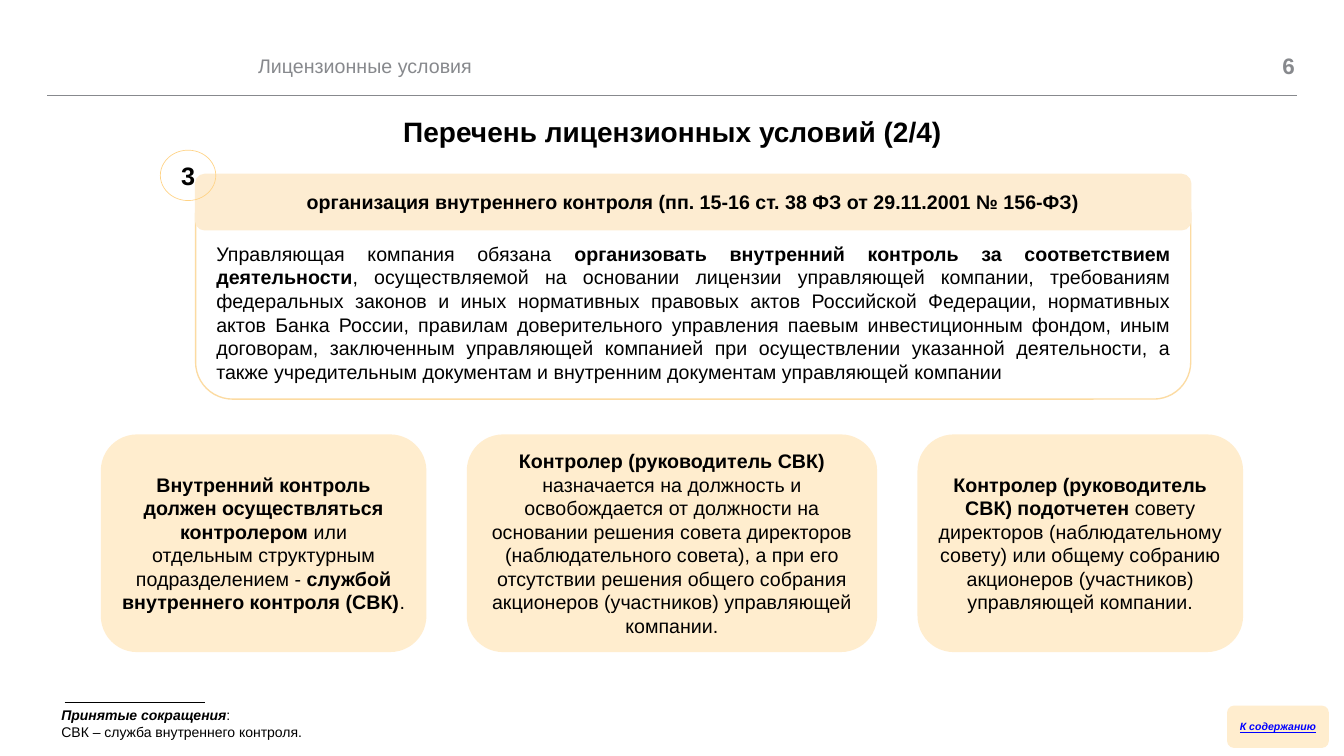
from lxml import etree
from pptx import Presentation
from pptx.dml.color import RGBColor
from pptx.enum import shapes, text
from pptx.oxml import ns
from pptx.util import Inches, Pt

COLORS = {"ink": "000000", "grey": "87898D", "link": "0000FF", "card": "FFEDCE",
          "header": "FDECD1", "frame": "FCDBA2", "ring": "FFD385"}
FONT = "Arial"
CORNER = 1 / 6

# Asterisks enclose the emphasised words; a line feed is a line break.
TITLE = "*Перечень лицензионных условий (2/4)*"
SECTION = "Лицензионные условия"
PAGE_NUMBER = "*6*"
CONDITION_NUMBER = "*3*"
CONDITION = "*организация внутреннего контроля (пп. 15-16 ст. 38 ФЗ от 29.11.2001 № 156-ФЗ)*"
DUTY = (
    "Управляющая компания обязана *организовать внутренний контроль за соответствием "
    "деятельности*, осуществляемой на основании лицензии управляющей компании, требованиям "
    "федеральных законов и иных нормативных правовых актов Российской Федерации, нормативных "
    "актов Банка России, правилам доверительного управления паевым инвестиционным фондом, иным "
    "договорам, заключенным управляющей компанией при осуществлении указанной деятельности, "
    "а также учредительным документам и внутренним документам управляющей компании"
)
CARDS = [  # width, text
    (3.23, "*Внутренний контроль\nдолжен осуществляться контролером* или\nотдельным структурным "
           "подразделением - *службой внутреннего контроля (СВК)*."),
    (4.07, "*Контролер (руководитель СВК)*\nназначается на должность и освобождается от должности "
           "на основании решения совета директоров (наблюдательного совета), а при его отсутствии "
           "решения общего собрания акционеров (участников) управляющей компании."),
    (3.23, "*Контролер (руководитель\nСВК) подотчетен* совету\nдиректоров (наблюдательному совету) "
           "или общему собранию акционеров (участников) управляющей компании."),
]
ABBREVIATIONS = ["*Принятые сокращения*:", "СВК – служба внутреннего контроля."]
CONTENTS = "*К содержанию*"

CARD_LEFT, CARD_TOP, CARD_HEIGHT, CARD_GAP = 1, 4.31, 2.16, 0.4
CONDITION_LEFT, CONDITION_WIDTH = 1.94, 9.87
LEFT, CENTER, JUSTIFY = text.PP_ALIGN.LEFT, text.PP_ALIGN.CENTER, text.PP_ALIGN.JUSTIFY
TOP, MIDDLE = text.MSO_ANCHOR.TOP, text.MSO_ANCHOR.MIDDLE


def rgb(name):
    return RGBColor.from_string(COLORS[name])


def write(box, paragraphs, size, color="ink", align=LEFT, anchor=MIDDLE, leading=None,
          insets=(0, 0, 0, 0), italic=False, underline=False):
    """Fill a box with paragraphs; insets are left, top, right and bottom."""
    frame = box.text_frame
    frame.word_wrap = True
    frame.auto_size = text.MSO_AUTO_SIZE.NONE
    frame.vertical_anchor = anchor
    (frame.margin_left, frame.margin_top,
     frame.margin_right, frame.margin_bottom) = map(Inches, insets)
    for number, words in enumerate(paragraphs):
        para = frame.add_paragraph() if number else frame.paragraphs[0]
        para.alignment = align
        if leading:
            para.line_spacing = Pt(leading)
        for index, part in enumerate(words.split("*")):
            emphasised = index % 2 == 1
            for row, line in enumerate(part.split("\n")):
                if row:
                    para.add_line_break()
                if not line:
                    continue
                span = para.add_run()
                span.text = line
                font = span.font
                font.name, font.size, font.bold = FONT, Pt(size), emphasised
                font.italic = italic and emphasised
                font.underline = underline
                font.color.rgb = rgb(color)


def add_box(page, kind, place, fill=None, line=None, width=0.96):
    box = page.shapes.add_shape(kind, *map(Inches, place))
    box.shadow.inherit = False
    if kind == shapes.MSO_SHAPE.ROUNDED_RECTANGLE:
        box.adjustments[0] = CORNER
    if fill:
        box.fill.solid()
        box.fill.fore_color.rgb = rgb(fill)
    else:
        box.fill.background()
    if line:
        box.line.color.rgb = rgb(line)
        box.line.width = Pt(width)
    else:
        box.line.fill.background()
    return box


def add_label(page, place, paragraphs, size, **style):
    write(page.shapes.add_textbox(*map(Inches, place)), paragraphs, size, **style)


def add_rule(page, left, right, top, color):
    rule = page.shapes.add_connector(shapes.MSO_CONNECTOR.STRAIGHT, Inches(left), Inches(top),
                                     Inches(right), Inches(top))
    rule.line.color.rgb = rgb(color)
    rule.line.width = Pt(0.48)
    etree.SubElement(rule._element.spPr, ns.qn("a:effectLst"))


def add_heading(page):
    add_rule(page, 0.47, 12.86, 0.95, "grey")
    add_label(page, (2.56, 0.51, 2.4, 0.28), [SECTION], 14, color="grey")
    add_label(page, (12.72, 0.5, 0.2, 0.3), [PAGE_NUMBER], 16, color="grey")
    title = page.shapes.title
    title.left, title.top, title.width, title.height = map(Inches, (3.67, 1.12, 6, 0.36))
    write(title, [TITLE], 20, align=CENTER)


def add_condition(page):
    rounded = shapes.MSO_SHAPE.ROUNDED_RECTANGLE
    duty = add_box(page, rounded, (CONDITION_LEFT, 1.76, CONDITION_WIDTH, 2.2), line="frame")
    write(duty, [DUTY], 14, align=JUSTIFY, leading=16.8, insets=(0.1, 0.48, 0.09, 0))
    header = add_box(page, rounded, (CONDITION_LEFT, 1.73, CONDITION_WIDTH, 0.55),
                     fill="header", line="header")
    write(header, [CONDITION], 14, align=CENTER)
    badge = add_box(page, shapes.MSO_SHAPE.OVAL, (1.59, 1.49, 0.55, 0.5), line="ring", width=0.48)
    write(badge, [CONDITION_NUMBER], 18, align=CENTER)


def add_cards(page):
    left = CARD_LEFT
    for width, words in CARDS:
        card = add_box(page, shapes.MSO_SHAPE.ROUNDED_RECTANGLE,
                       (left, CARD_TOP, width, CARD_HEIGHT), fill="card")
        write(card, [words], 14, align=CENTER, leading=16.8, insets=(0.05, 0, 0.05, 0))
        left += width + CARD_GAP


def add_footer(page):
    add_rule(page, 0.64, 2.03, 6.97, "ink")
    add_label(page, (0.61, 7.01, 2.7, 0.36), ABBREVIATIONS, 10, anchor=TOP,
              leading=12.1, italic=True)
    button = add_box(page, shapes.MSO_SHAPE.ROUNDED_RECTANGLE, (12.17, 7, 1.01, 0.42), fill="card")
    write(button, [CONTENTS], 7.5, color="link", align=CENTER, italic=True, underline=True)


def main():
    deck = Presentation()
    deck.slide_width, deck.slide_height = Inches(13.33), Inches(7.5)
    page = deck.slides.add_slide(deck.slide_layouts[5])
    add_heading(page)
    add_condition(page)
    add_cards(page)
    add_footer(page)
    deck.save("out.pptx")


if __name__ == "__main__":
    main()
